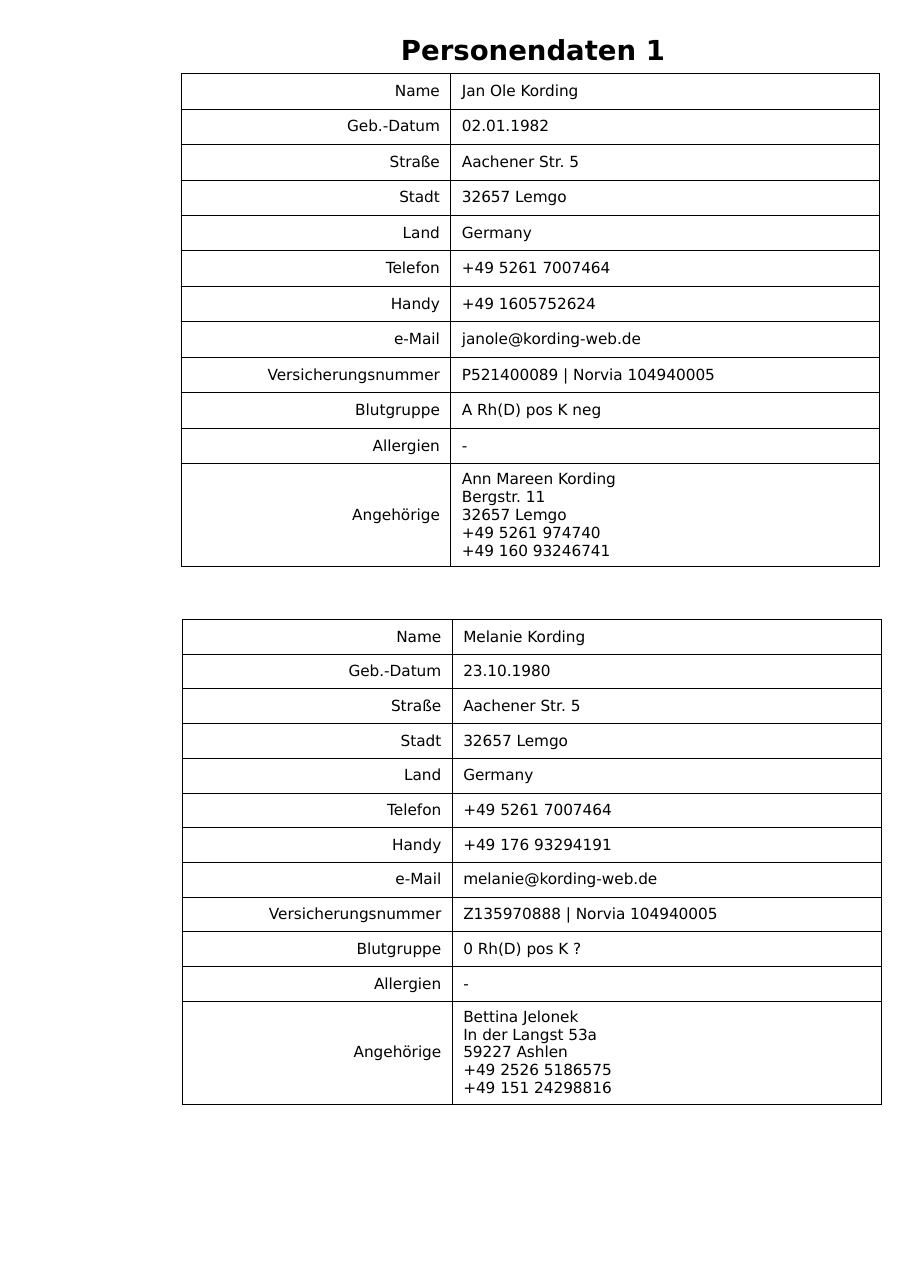
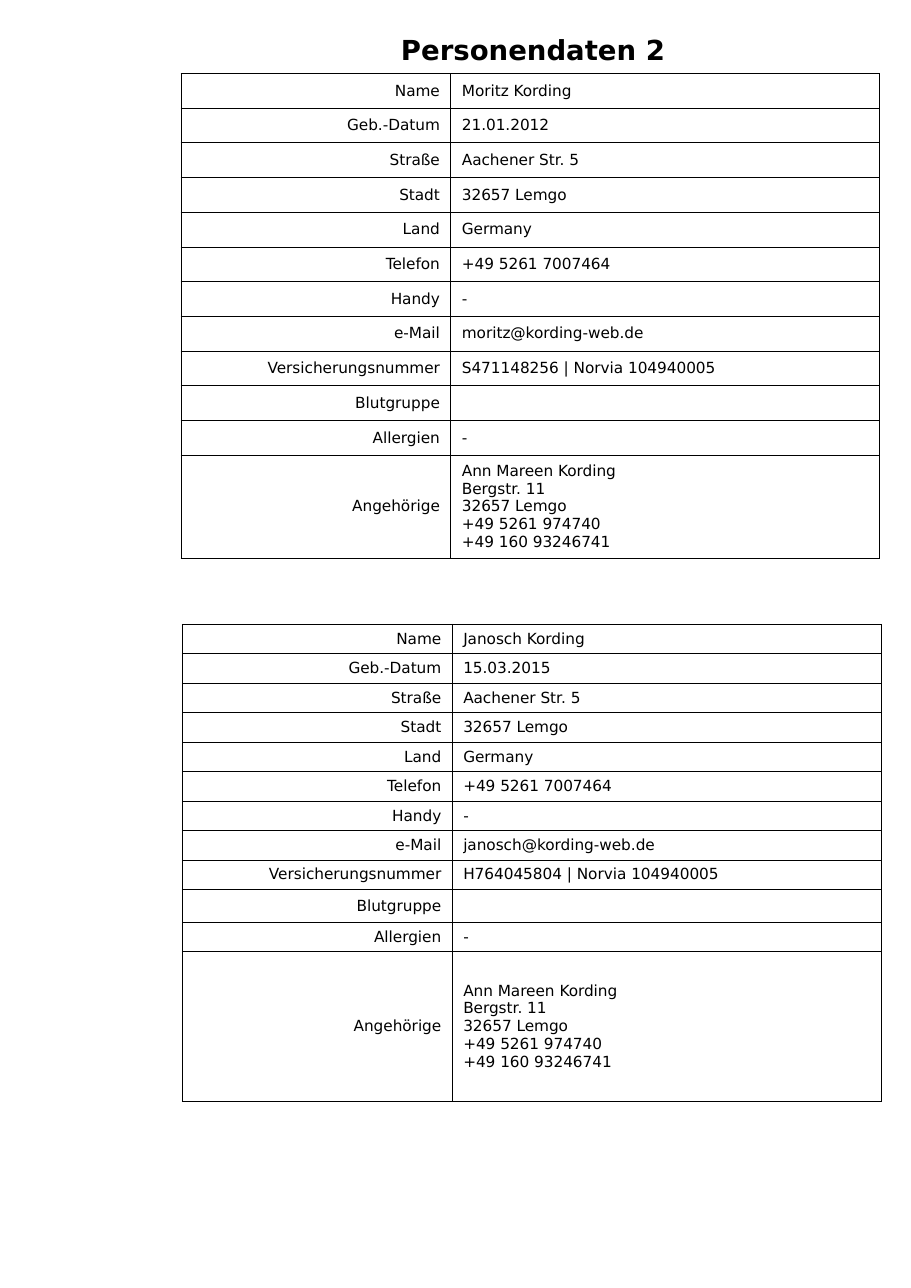
import lxml.etree
import pptx
import pptx.dml.color
import pptx.enum.text
import pptx.oxml.ns
import pptx.util

Pt = pptx.util.Pt
qn = pptx.oxml.ns.qn
ALIGN = pptx.enum.text.PP_ALIGN
ANCHOR = pptx.enum.text.MSO_ANCHOR

LABELS = ["Name", "Geb.-Datum", "Straße", "Stadt", "Land", "Telefon", "Handy", "e-Mail",
          "Versicherungsnummer", "Blutgruppe", "Allergien", "Angehörige"]
ANN = "Ann Mareen Kording\vBergstr. 11\n32657 Lemgo\n+49 5261 974740\n+49 160 93246741"
BETTINA = "Bettina Jelonek\vIn der Langst 53a\n59227 Ashlen\n+49 2526 5186575\n+49 151 24298816"


def color(hex_value):
    return pptx.dml.color.RGBColor.from_string(hex_value)


def person(name, birth_date, mobile, mail_user, insurance, blood_group, relatives):
    """Return the values of one person in the order of LABELS."""
    return [name, birth_date, "Aachener Str. 5", "32657 Lemgo", "Germany", "+49 5261 7007464",
            mobile, f"{mail_user}@kording-web.de", f"{insurance} | Norvia 104940005",
            blood_group, "-", relatives]


def row_heights(regular, relatives, blood_group=None):
    return [regular] * 9 + [blood_group or regular, regular, relatives]


class DataSheet:
    FONT = "DejaVu Sans"
    INK = "000000"
    TITLE_SIZE = 18
    CELL_SIZE = 10
    BORDER_WIDTH = 0.57
    COLUMN_WIDTHS = (176.4, 280.4)

    def __init__(self):
        self.presentation = pptx.Presentation()
        self.presentation.slide_width = Pt(595.44)
        self.presentation.slide_height = Pt(841.68)
        self.slide = None

    def add_slide(self, title):
        layout = self.presentation.slide_layouts[5]
        self.slide = self.presentation.slides.add_slide(layout)
        shape = self.slide.shapes.title
        shape.left, shape.top, shape.width, shape.height = Pt(254.9), Pt(18), Pt(187.2), Pt(28.1)
        frame = shape.text_frame
        frame.text = title
        frame.word_wrap = False
        frame.auto_size = pptx.enum.text.MSO_AUTO_SIZE.SHAPE_TO_FIT_TEXT
        frame.vertical_anchor = ANCHOR.TOP
        self.style(frame.paragraphs[0], self.TITLE_SIZE, ALIGN.LEFT, bold=True)

    def style(self, paragraph, size, alignment, bold=False):
        paragraph.alignment = alignment
        font = paragraph.font
        font.name, font.size, font.bold = self.FONT, Pt(size), bold
        font.color.rgb = color(self.INK)

    def add_person_table(self, left, top, values, heights):
        frame = self.slide.shapes.add_table(
            len(LABELS), 2, Pt(left), Pt(top), Pt(sum(self.COLUMN_WIDTHS)), Pt(sum(heights)))
        table = frame.table
        table.first_row = table.horz_banding = False
        for column, width in zip(table.columns, self.COLUMN_WIDTHS):
            column.width = Pt(width)
        for row, height, label, value in zip(table.rows, heights, LABELS, values):
            row.height = Pt(height)
            self.fill_cell(row.cells[0], label, ALIGN.RIGHT)
            self.fill_cell(row.cells[1], value, ALIGN.LEFT)

    def fill_cell(self, cell, text, alignment):
        cell.text_frame.text = text
        cell.vertical_anchor = ANCHOR.MIDDLE
        for paragraph in cell.text_frame.paragraphs:
            self.style(paragraph, self.CELL_SIZE, alignment)
            if not text:
                lxml.etree.SubElement(paragraph._p, qn("a:endParaRPr"),
                                      sz=str(self.CELL_SIZE * 100))
        self.add_borders(cell)
        cell.fill.background()

    def add_borders(self, cell):
        properties = cell._tc.get_or_add_tcPr()
        for side in ("a:lnL", "a:lnR", "a:lnT", "a:lnB"):
            line = lxml.etree.SubElement(properties, qn(side), w=str(int(Pt(self.BORDER_WIDTH))))
            fill = lxml.etree.SubElement(line, qn("a:solidFill"))
            lxml.etree.SubElement(fill, qn("a:srgbClr"), val=self.INK)


def main():
    upper, lower = (118.3, 48), 119.2
    sheet = DataSheet()

    sheet.add_slide("Personendaten 1")
    sheet.add_person_table(
        *upper,
        person("Jan Ole Kording", "02.01.1982", "+49 1605752624", "janole", "P521400089",
               "A Rh(D) pos K neg", ANN),
        row_heights(23.2, 67.3))
    sheet.add_person_table(
        lower, 404.8,
        person("Melanie Kording", "23.10.1980", "+49 176 93294191", "melanie", "Z135970888",
               "0 Rh(D) pos K ?", BETTINA),
        row_heights(22.7, 67.3))

    sheet.add_slide("Personendaten 2")
    sheet.add_person_table(
        *upper,
        person("Moritz Kording", "21.01.2012", "-", "moritz", "S471148256", "", ANN),
        row_heights(22.7, 67.3))
    sheet.add_person_table(
        lower, 408,
        person("Janosch Kording", "15.03.2015", "-", "janosch", "H764045804", "", ANN),
        row_heights(19.24, 98, blood_group=21.4))

    sheet.presentation.save("out.pptx")


if __name__ == "__main__":
    main()
